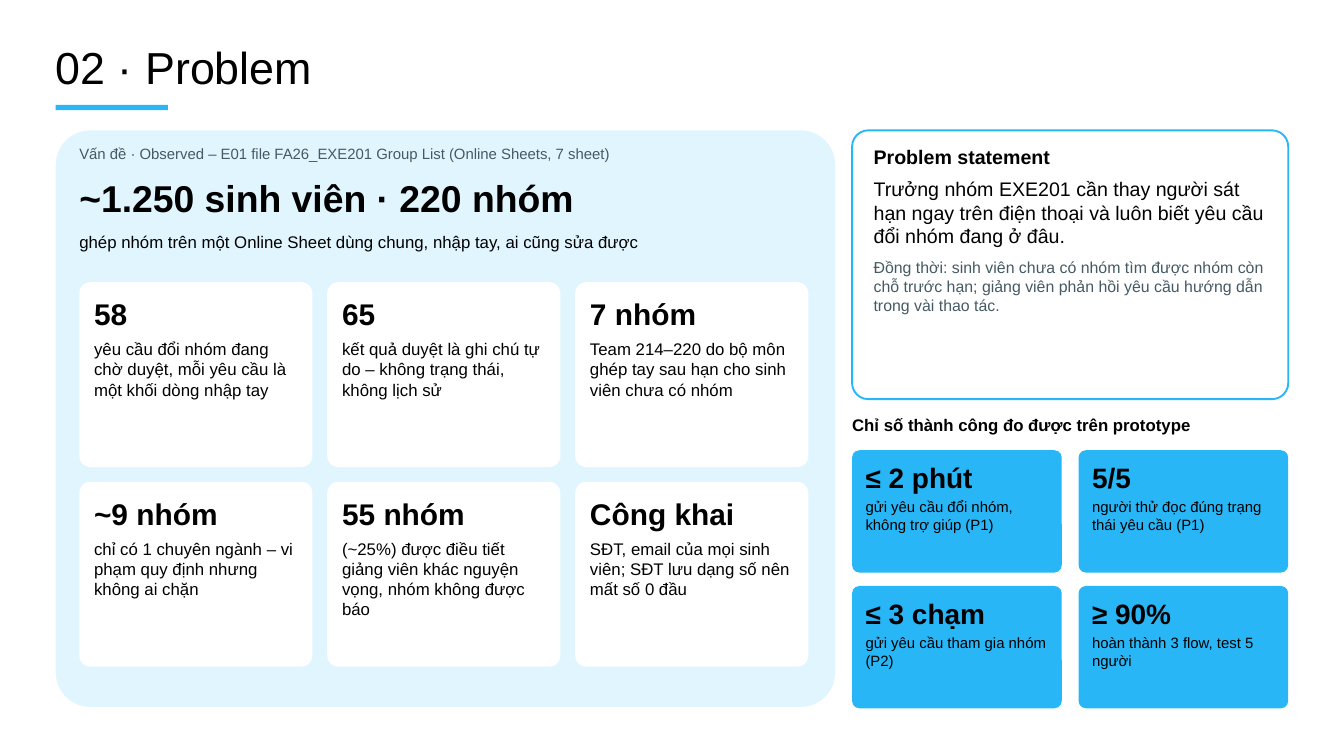
from pptx import Presentation
from pptx import util as u
from pptx.dml import color
from pptx.enum import shapes, text

PX = u.Inches(1) // 100
INK, GREY, BLUE, PALE, WHITE = "000000", "455A64", "29B6F6", "E1F5FE", "FFFFFF"

FACTS = [
    ("58", "yêu cầu đổi nhóm đang chờ duyệt, mỗi yêu cầu là một khối dòng nhập tay"),
    ("65", "kết quả duyệt là ghi chú tự do – không trạng thái, không lịch sử"),
    ("7 nhóm", "Team 214–220 do bộ môn ghép tay sau hạn cho sinh viên chưa có nhóm"),
    ("~9 nhóm", "chỉ có 1 chuyên ngành – vi phạm quy định nhưng không ai chặn"),
    ("55 nhóm", "(~25%) được điều tiết giảng viên khác nguyện vọng, nhóm không được báo"),
    ("Công khai", "SĐT, email của mọi sinh viên; SĐT lưu dạng số nên mất số 0 đầu"),
]
GOALS = [
    ("≤ 2 phút", "gửi yêu cầu đổi nhóm, không trợ giúp (P1)"),
    ("5/5", "người thử đọc đúng trạng thái yêu cầu (P1)"),
    ("≤ 3 chạm", "gửi yêu cầu tham gia nhóm (P2)"),
    ("≥ 90%", "hoàn thành 3 flow, test 5 người"),
]


def rgb(code):
    return color.RGBColor.from_string(code)


def emu(box):
    return [n * PX for n in box]


def block(slide, box, fill, line=None, kind=shapes.MSO_SHAPE.ROUNDED_RECTANGLE):
    shape = slide.shapes.add_shape(kind, *emu(box))
    shape.shadow.inherit = False
    if len(shape.adjustments):
        shape.adjustments[0] = 0.06
    shape.fill.solid()
    shape.fill.fore_color.rgb = rgb(fill)
    if line:
        shape.line.color.rgb = rgb(line)
        shape.line.width = u.Pt(2)
    else:
        shape.line.fill.background()


def style(par, size, bold=False, ink=INK):
    par.font.name = "Arial"
    par.font.size = u.Pt(size)
    par.font.bold = bold
    par.font.color.rgb = rgb(ink)


def reset(frame):
    """Top-anchored, wrapping, without margins."""
    frame.margin_left = frame.margin_right = 0
    frame.margin_top = frame.margin_bottom = 0
    frame.word_wrap = True
    frame.auto_size = text.MSO_AUTO_SIZE.NONE
    frame.vertical_anchor = text.MSO_ANCHOR.TOP


def write(slide, box, lines, after=4):
    """Each line is (words, size, bold, ink), the last two optional."""
    frame = slide.shapes.add_textbox(*emu(box)).text_frame
    reset(frame)
    for i, (words, *look) in enumerate(lines):
        par = frame.add_paragraph() if i else frame.paragraphs[0]
        par.text = words
        par.space_after = u.Pt(after)
        style(par, *look)


def grid(slide, box, items, cols, gap, pad, sizes, after, fill):
    """Equal cards in rows, each with a bold figure and a note."""
    x, y, w, h = box
    rows = len(items) // cols
    wide = (w - gap[0] * (cols - 1)) // cols
    high = (h - gap[1] * (rows - 1)) // rows
    for i, (head, note) in enumerate(items):
        row, col = divmod(i, cols)
        left, top = x + col * (wide + gap[0]), y + row * (high + gap[1])
        block(slide, (left, top, wide, high), fill)
        inner = (left + pad[0], top + pad[1], wide - 2 * pad[0], high - 2 * pad[1])
        write(slide, inner, [(head, sizes[0], True), (note, sizes[1])], after)


def header(slide, box):
    x, y, w, h = box
    title = slide.shapes.title
    title.left, title.top, title.width, title.height = emu((x, y, w, 71))
    frame = title.text_frame
    reset(frame)
    frame.text = "02 · Problem"
    par = frame.paragraphs[0]
    par.alignment = text.PP_ALIGN.LEFT
    par.line_spacing = u.Pt(48)
    style(par, 48)
    block(slide, (x, y + h - 8, 167, 8), BLUE, kind=shapes.MSO_SHAPE.RECTANGLE)


def problem(slide, box):
    x, y, w, h = box
    block(slide, box, PALE)
    left = x + 35
    write(slide, (left, y + 21, 1100, 35), [(
        "Vấn đề · Observed – E01 file FA26_EXE201 Group List (Online Sheets, 7 sheet)",
        16, False, GREY)])
    write(slide, (left, y + 66, 1100, 80), [("~1.250 sinh viên · 220 nhóm", 40, True)])
    write(slide, (left, y + 151, 1100, 40), [(
        "ghép nhóm trên một Online Sheet dùng chung, nhập tay, ai cũng sửa được", 18)])
    grid(slide, (left, y + 226, w - 75, 572), FACTS, 3, (22, 22), (22, 20),
         (32, 18), 8, WHITE)


def statement(slide, box):
    x, y, w, h = box
    block(slide, box, WHITE, BLUE)
    write(slide, (x + 32, y + 21, w - 64, h - 30), [
        ("Problem statement", 21, True),
        ("Trưởng nhóm EXE201 cần thay người sát hạn ngay trên điện thoại "
         "và luôn biết yêu cầu đổi nhóm đang ở đâu.", 21),
        ("Đồng thời: sinh viên chưa có nhóm tìm được nhóm còn chỗ trước hạn; "
         "giảng viên phản hồi yêu cầu hướng dẫn trong vài thao tác.", 17, False, GREY),
    ], 10)


def success(slide, box):
    x, y, w, h = box
    write(slide, (x, y, w, 40), [("Chỉ số thành công đo được trên prototype", 18, True)])
    grid(slide, (x, y + 53, w, h - 53), GOALS, 2, (25, 20), (20, 15),
         (30, 16), 4, BLUE)


def main():
    deck = Presentation()
    deck.slide_width, deck.slide_height = emu((2000, 1125))
    slide = deck.slides.add_slide(deck.slide_layouts[5])
    header(slide, (83, 72, 1854, 92))
    problem(slide, (83, 194, 1160, 858))
    statement(slide, (1268, 194, 649, 400))
    success(slide, (1268, 617, 649, 437))
    deck.save("out.pptx")


if __name__ == "__main__":
    main()
